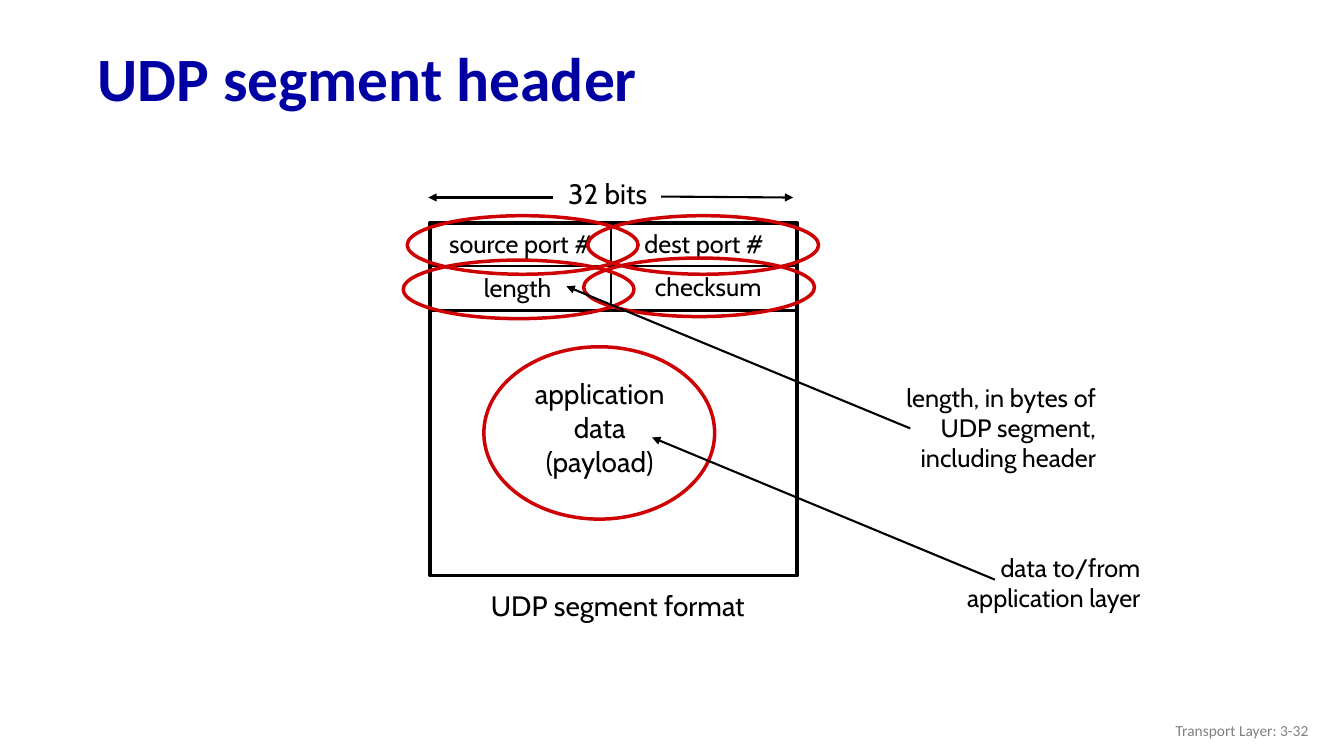
"""Build the slide that shows the UDP segment header."""
from lxml import etree
from pptx import Presentation
from pptx.dml.color import RGBColor
from pptx.enum.shapes import MSO_CONNECTOR as Link, MSO_SHAPE as Shape
from pptx.enum.text import MSO_ANCHOR as Anchor, PP_ALIGN as Align
from pptx.oxml.ns import qn
from pptx.util import Pt

BLACK, WHITE, RED, BLUE, GRAY = "000000", "FFFFFF", "CD0004", "0000A3", "808080"
SIZE = (960, 540)
FRAME = (307.4, 159.1, 262.1, 252)
MID = 436.3
ROWS = [159.1, 190.1, 221.8]
LABELS = [
    (["source port #"], (310.3, 159.8, 123.1, 29), 18),
    (["dest port #"], (450.7, 159.8, 104.4, 29), 18),
    (["length"], (337.7, 190.8, 64.1, 29), 18),
    (["checksum"], (459.4, 190.1, 92.9, 29), 18),
    (["32 bits"], (397.4, 122.4, 73.4, 31), 20),
    (["application", "data", "(payload)"], (373.7, 265.7, 109.4, 79.2), 20),
    (["UDP segment format"], (342, 416.9, 198.7, 31), 20),
]
NOTES = [
    ("length, in bytes of\vUDP segment,\vincluding header", (600.5, 269.3, 189.4, 72)),
    ("data to/from\vapplication layer", (632.2, 391, 189.4, 51.1)),
]
ARROWS = [
    (472.3, 140.4, 566.6, 141.1),
    (395.3, 141.1, 306, 141.1),
    (650.2, 306, 404.6, 204.5),
    (710.6, 414, 465.8, 312.5),
]
OVAL_WIDE, OVAL_HIGH, DATA_HIGH = 164.9, 41.8, 123.1
OVALS = [
    (290.9, 154.1, OVAL_HIGH),
    (419.8, 154.1, OVAL_HIGH),
    (288, 185.8, OVAL_HIGH),
    (416.9, 184.3, OVAL_HIGH),
    (345.6, 247.7, DATA_HIGH),
]

deck = Presentation()
deck.slide_width, deck.slide_height = map(Pt, SIZE)
slide = deck.slides.add_slide(deck.slide_layouts[6])


def hue(code):
    """Turn a hex string into a colour."""
    return RGBColor.from_string(code)


def write(lines, box, size=18, font="Cabin", color=BLACK, bold=False,
          align=Align.CENTER, anchor=Anchor.TOP, wrap=False, space=None):
    """Add a text box with one paragraph per line."""
    frame = slide.shapes.add_textbox(*map(Pt, box)).text_frame
    frame.word_wrap, frame.vertical_anchor = wrap, anchor
    for i, line in enumerate(lines):
        para = frame.add_paragraph() if i else frame.paragraphs[0]
        para.text, para.alignment, para.line_spacing = line, align, space
        for run in para.runs:
            run.font.size, run.font.name, run.font.bold = Pt(size), font, bold
            run.font.color.rgb = hue(color)


def draw(kind, box, color, width, fill=None):
    """Add an outlined shape."""
    shape = slide.shapes.add_shape(kind, *map(Pt, box))
    shape.shadow.inherit = False
    shape.line.color.rgb, shape.line.width = hue(color), Pt(width)
    if fill:
        shape.fill.solid()
        shape.fill.fore_color.rgb = hue(fill)
    else:
        shape.fill.background()


def link(ends, arrow=False):
    """Add a straight line, with an arrowhead at its end on request."""
    line = slide.shapes.add_connector(Link.STRAIGHT, *map(Pt, ends))
    line.line.color.rgb, line.line.width = hue(BLACK), Pt(1.5)
    if arrow:
        pen = line.line._get_or_add_ln()
        etree.SubElement(pen, qn("a:tailEnd"), type="triangle")
    etree.SubElement(line._element.spPr, qn("a:effectLst"))


left, top, wide, high = FRAME
write(["UDP segment header"], (62.6, 23, 874.1, 70.7), size=44, font="Calibri",
      color=BLUE, bold=True, align=Align.LEFT, anchor=Anchor.MIDDLE, wrap=True, space=0.9)
draw(Shape.RECTANGLE, FRAME, BLACK, 2.75, fill=WHITE)
for above, row in zip(ROWS, ROWS[1:]):
    link((left, row, left + wide, row))
    link((MID, above, MID, row))
for lines, box, size in LABELS:
    write(lines, box, size=size)
for x, y, tall in OVALS:
    draw(Shape.OVAL, (x, y, OVAL_WIDE, tall), RED, 2.5)
for ends in ARROWS:
    link(ends, arrow=True)
for note, box in NOTES:
    write([note], box, align=Align.RIGHT, wrap=True)
write(["Transport Layer: 3-32"], (725.8, 507.6, 216, 28.8), size=11, font="Calibri",
      color=GRAY, align=Align.RIGHT, anchor=Anchor.MIDDLE, wrap=True)

deck.save("out.pptx")
